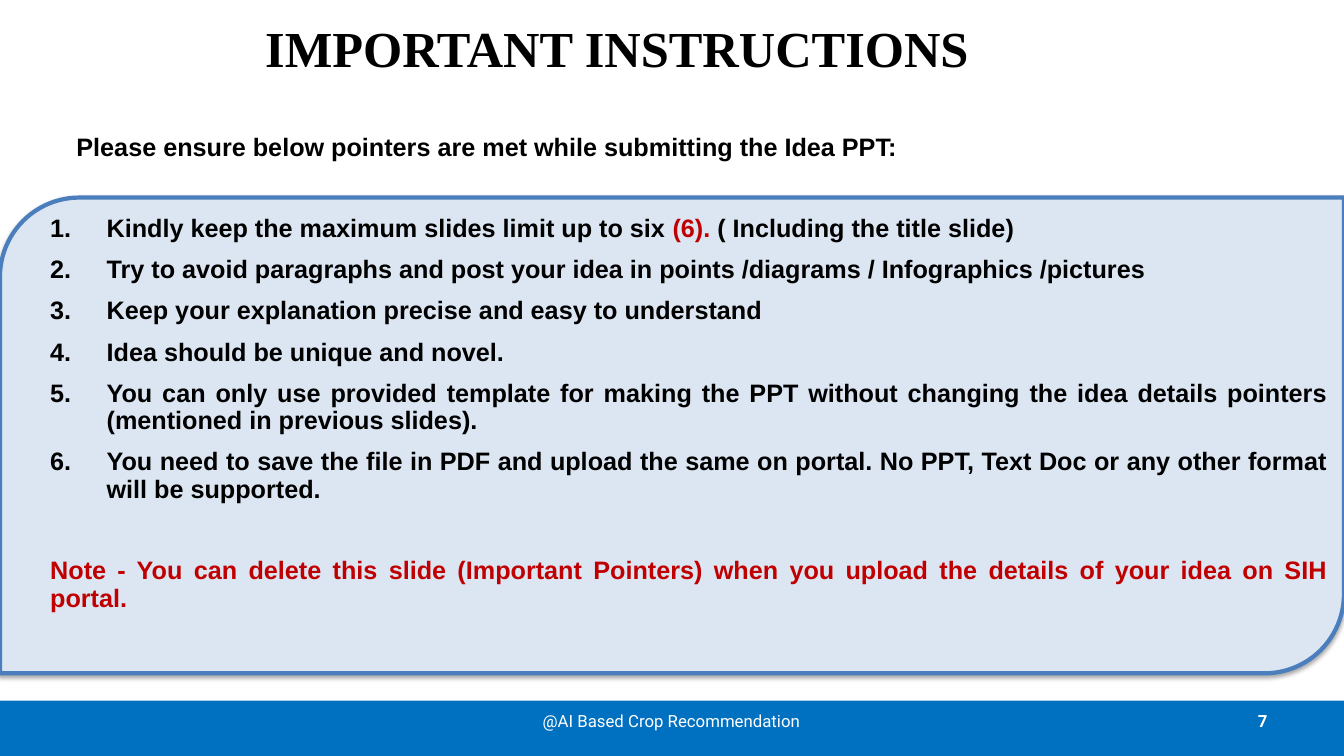
from lxml.etree import SubElement
from pptx import Presentation
from pptx.dml.color import RGBColor
from pptx.enum.shapes import MSO_SHAPE
from pptx.enum.text import MSO_ANCHOR, PP_ALIGN
from pptx.oxml.ns import qn
from pptx.util import Inches, Pt

BLACK = RGBColor(0, 0, 0)
WHITE = RGBColor(255, 255, 255)
RED = RGBColor(0xC0, 0, 0)
BLUE = RGBColor(0, 0x70, 0xC0)
PALE_BLUE = RGBColor(0xDC, 0xE6, 0xF2)
EDGE_BLUE = RGBColor(0x4B, 0x7E, 0xBC)

TITLE = "IMPORTANT INSTRUCTIONS"
INTRO = "Please ensure below pointers are met while submitting the Idea PPT:"
INSTRUCTIONS = [
    [("Kindly keep the maximum slides limit up to six ", BLACK), ("(6). ", RED),
     ("( Including the title slide) ", BLACK)],
    [("Try to avoid paragraphs and post your idea in points /diagrams / Infographics /pictures ", BLACK)],
    [("Keep your explanation precise and easy to understand", BLACK)],
    [("Idea should be unique and novel. ", BLACK)],
    [("You can only use provided template for making the PPT without changing "
      "the idea details pointers (mentioned in previous slides).", BLACK)],
    [("You need to save the file in PDF and upload the same on portal. "
      "No PPT, Text Doc or any other format will be supported.", BLACK)],
]
NOTE = [("Note - You can delete this slide (Important Pointers) when you upload "
         "the details of your idea on SIH portal.", RED)]
FOOTER = "@AI Based Crop Recommendation"
PAGE = "7"

SLIDE_W, SLIDE_H = 13.33, 7.5
FOOTER_TOP = 6.95
INDENT = 0.56
GAP = 10
NOTE_GAP = 39

prs = Presentation()
prs.slide_width, prs.slide_height = Inches(SLIDE_W), Inches(SLIDE_H)
s = prs.slides.add_slide(prs.slide_layouts[6])


def add_panel(kind, top, height, fill, shadow, blur):
    sp = s.shapes.add_shape(kind, 0, Inches(top), Inches(SLIDE_W), Inches(height))
    sp.fill.solid()
    sp.fill.fore_color.rgb = fill
    sp.line.fill.background()
    sp.shadow.inherit = False
    effects = sp._element.spPr.find(qn("a:effectLst"))
    outer = SubElement(effects, qn("a:outerShdw"), blurRad=str(Pt(blur)),
                       dist=str(Pt(1.8)), dir="5400000", rotWithShape="0")
    color = SubElement(outer, qn("a:srgbClr"), val=shadow)
    SubElement(color, qn("a:alpha"), val="35000")
    return sp


def add_box(left, top, width, height, anchor=MSO_ANCHOR.TOP):
    box = s.shapes.add_textbox(Inches(left), Inches(top), Inches(width), Inches(height))
    tf = box.text_frame
    tf.word_wrap = True
    tf.vertical_anchor = anchor
    return tf


def write(p, parts, align, font="Arial", size=18, bold=True):
    p.alignment = align
    for text, color in parts:
        r = p.add_run()
        r.text = text
        r.font.name, r.font.size, r.font.bold = font, Pt(size), bold
        r.font.color.rgb = color


def write_body(p, parts, before):
    write(p, parts, PP_ALIGN.JUSTIFY)
    p.line_spacing = 0.9
    p.space_before = Pt(before)


def number(p):
    pPr = p._p.get_or_add_pPr()
    pPr.set("marL", str(Inches(INDENT)))
    pPr.set("indent", str(-Inches(INDENT)))
    color = SubElement(pPr, qn("a:buClr"))
    SubElement(color, qn("a:srgbClr"), val=str(BLACK))
    SubElement(pPr, qn("a:buFont"), typeface="+mj-lt")
    SubElement(pPr, qn("a:buAutoNum"), type="arabicPeriod")


add_panel(MSO_SHAPE.RECTANGLE, FOOTER_TOP, SLIDE_H - FOOTER_TOP, BLUE, "808080", 0)
tf = add_box(9.56, FOOTER_TOP, 3.11, 0.4, MSO_ANCHOR.MIDDLE)
write(tf.paragraphs[0], [(PAGE, WHITE)], PP_ALIGN.RIGHT, "Roboto", 12)

panel = add_panel(MSO_SHAPE.ROUND_2_DIAG_RECTANGLE, 1.96, 4.72, PALE_BLUE, "000000", 3.1)
panel.line.color.rgb = EDGE_BLUE
panel.line.width = Pt(3)

tf = add_box(0.4, 2.09, 12.87, 4.45)
for i, parts in enumerate(INSTRUCTIONS):
    p = tf.add_paragraph() if i else tf.paragraphs[0]
    write_body(p, parts, GAP if i else 0)
    number(p)
write_body(tf.add_paragraph(), NOTE, NOTE_GAP)

tf = add_box(1.52, 0.12, 9.2, 0.71)
write(tf.paragraphs[0], [(TITLE, BLACK)], PP_ALIGN.CENTER, "Times New Roman", 36)

tf = add_box(0.66, 1.29, 10.45, 0.37)
write_body(tf.paragraphs[0], [(INTRO, BLACK)], GAP)

tf = add_box(4.91, FOOTER_TOP, 3.5, 0.4, MSO_ANCHOR.MIDDLE)
write(tf.paragraphs[0], [(FOOTER, WHITE)], PP_ALIGN.CENTER, "Roboto", 12, False)

prs.save("out.pptx")
